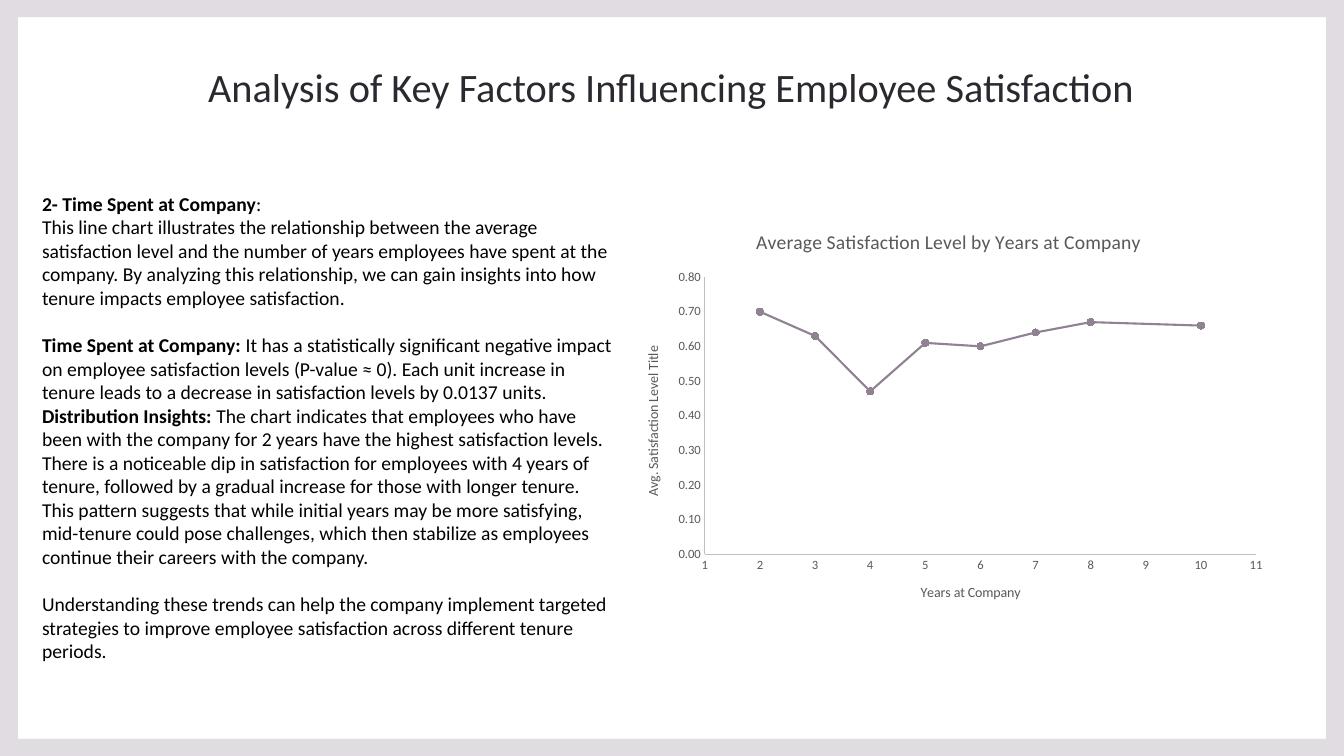
from lxml import etree
from pptx import Presentation
from pptx.chart.data import XyChartData
from pptx.dml.color import RGBColor
from pptx.enum.chart import XL_CHART_TYPE as ChartType, XL_MARKER_STYLE as Marker, XL_TICK_MARK as Tick
from pptx.enum.text import MSO_ANCHOR as Anchor, MSO_AUTO_SIZE as AutoSize, PP_ALIGN as Align
from pptx.oxml import parse_xml
from pptx.oxml.ns import nsdecls
from pptx.util import Cm, Pt

FONT = "Calibri"
COLORS = {"frame": "E0DCE1", "title": "2C2830", "body": "000000",
          "label": "595959", "axis": "BFBFBF", "series": "908193"}
WIDTH, HEIGHT = Cm(33.87), Cm(19.05)

SECTIONS = [
    (0, "2- Time Spent at Company", ":"),
    (0, "", "This line chart illustrates the relationship between the average satisfaction level and the "
     "number of years employees have spent at the company. By analyzing this relationship, we can gain "
     "insights into how tenure impacts employee satisfaction."),
    (17, "Time Spent at Company:", " It has a statistically significant negative impact on employee "
     "satisfaction levels (P-value ≈ 0). Each unit increase in tenure leads to a decrease in "
     "satisfaction levels by 0.0137 units."),
    (0, "Distribution Insights:", " The chart indicates that employees who have been with the company "
     "for 2 years have the highest satisfaction levels. There is a noticeable dip in satisfaction for "
     "employees with 4 years of tenure, followed by a gradual increase for those with longer tenure. "
     "This pattern suggests that while initial years may be more satisfying, mid-tenure could pose "
     "challenges, which then stabilize as employees continue their careers with the company."),
    (17, "", "Understanding these trends can help the company implement targeted strategies to improve "
     "employee satisfaction across different tenure periods."),
]
SATISFACTION = {2: 0.70, 3: 0.63, 4: 0.47, 5: 0.61, 6: 0.60, 7: 0.64, 8: 0.67, 10: 0.66}


def rgb(name):
    """Return the named colour."""
    return RGBColor.from_string(COLORS[name])


def style_font(font, size, color, bold=False):
    """Format a font."""
    font.name, font.size, font.bold = FONT, Pt(size), bold
    font.color.rgb = rgb(color)


def add_text(paragraph, text, size=14, color="body", bold=False):
    """Append a formatted run to a paragraph."""
    run = paragraph.add_run()
    run.text = text
    style_font(run.font, size, color, bold)


def add_frame(slide, left, top, width, height):
    """Draw the border band around the slide."""
    side, edge = Cm(0.45), Cm(0.43)
    right, bottom = left + width, top + height
    builder = slide.shapes.build_freeform(left, top)
    builder.add_line_segments([(right, top), (right, bottom), (left, bottom)])
    builder.move_to(left + side, top + edge)
    builder.add_line_segments([(left + side, bottom - edge), (right - side, bottom - edge),
                               (right - side, top + edge)])
    frame = builder.convert_to_shape()
    frame.shadow.inherit = False
    frame.fill.solid()
    frame.fill.fore_color.rgb = rgb("frame")
    frame.line.fill.background()


def add_title(slide, left, top, width, height):
    """Place and fill the title placeholder."""
    title = slide.shapes.title
    title.left, title.top, title.width, title.height = left, top, width, height
    text_frame = title.text_frame
    text_frame.auto_size = AutoSize.NONE
    text_frame.vertical_anchor = Anchor.MIDDLE
    paragraph = text_frame.paragraphs[0]
    paragraph.alignment, paragraph.line_spacing = Align.CENTER, 1.1
    add_text(paragraph, "Analysis of Key Factors Influencing Employee Satisfaction", size=28.8, color="title")


def add_analysis(slide, left, top, width, height):
    """Write the findings with bold lead-ins."""
    text_frame = slide.shapes.add_textbox(left, top, width, height).text_frame
    text_frame.word_wrap = True
    for index, (gap, lead, text) in enumerate(SECTIONS):
        paragraph = text_frame.add_paragraph() if index else text_frame.paragraphs[0]
        paragraph.space_before = Pt(gap)
        if lead:
            add_text(paragraph, lead, bold=True)
        add_text(paragraph, text)


def style_axis(axis, title, low, high, step, number_format):
    """Format one chart axis."""
    axis.minimum_scale, axis.maximum_scale, axis.major_unit = low, high, step
    axis.has_major_gridlines = False
    axis.major_tick_mark = axis.minor_tick_mark = Tick.NONE
    axis.format.line.color.rgb = rgb("axis")
    axis.format.line.width = Pt(0.75)
    axis.tick_labels.number_format = number_format
    axis.tick_labels.number_format_is_linked = False
    style_font(axis.tick_labels.font, 9, "label")
    add_text(axis.axis_title.text_frame.paragraphs[0], title, size=10, color="label")


def set_plot_area(chart, **fractions):
    """Fix the inner plot area as fractions of the chart."""
    area = chart.plots[0]._element.getparent()
    for layout in area.findall("{*}layout"):
        area.remove(layout)
    layout = parse_xml(f'<c:layout {nsdecls("c")}><c:manualLayout/></c:layout>')
    values = {"layoutTarget": "inner", "xMode": "edge", "yMode": "edge", **fractions}
    for name, value in values.items():
        etree.SubElement(layout[0], f"{{{layout.nsmap['c']}}}{name}", val=str(value))
    area.insert(0, layout)


def add_satisfaction_chart(slide, left, top, width, height):
    """Chart satisfaction by years at the company."""
    data = XyChartData()
    points = data.add_series("Series 1")
    for years, level in SATISFACTION.items():
        points.add_data_point(years, level)
    chart = slide.shapes.add_chart(ChartType.XY_SCATTER_LINES, left, top, width, height, data).chart
    style_font(chart.font, 10, "body")
    chart.has_legend = False
    add_text(chart.chart_title.text_frame.paragraphs[0], "Average Satisfaction Level by Years at Company",
             size=14, color="label")
    chart.chart_title.include_in_layout = False
    style_axis(chart.category_axis, "Years at Company", 1, 11, 1, "0")
    style_axis(chart.value_axis, "Avg. Satisfaction Level Title", 0, 0.8, 0.1, "0.00")
    set_plot_area(chart, x=0.127, y=0.16, w=0.843, h=0.675)
    plot = chart.plots[0]
    plot.vary_by_categories = False
    series = plot.series[0]
    series.format.line.color.rgb = rgb("series")
    series.format.line.width = Pt(1.5)
    series.marker.style, series.marker.size = Marker.CIRCLE, 5
    series.marker.format.fill.solid()
    series.marker.format.fill.fore_color.rgb = rgb("series")
    series.marker.format.line.color.rgb = rgb("series")
    for smooth in series._element.findall("{*}smooth"):
        smooth.set("val", "0")


def main():
    """Build and save the presentation."""
    presentation = Presentation()
    presentation.slide_width, presentation.slide_height = WIDTH, HEIGHT
    slide = presentation.slides.add_slide(presentation.slide_layouts[5])
    add_frame(slide, 0, 0, WIDTH, HEIGHT)
    add_title(slide, Cm(3.43), Cm(1.47), Cm(26.97), Cm(1.27))
    add_analysis(slide, Cm(0.81), Cm(4.7), Cm(14.88), Cm(11.63))
    add_satisfaction_chart(slide, Cm(15.67), Cm(5.33), Cm(16.48), Cm(10.34))
    presentation.save("out.pptx")


if __name__ == "__main__":
    main()
